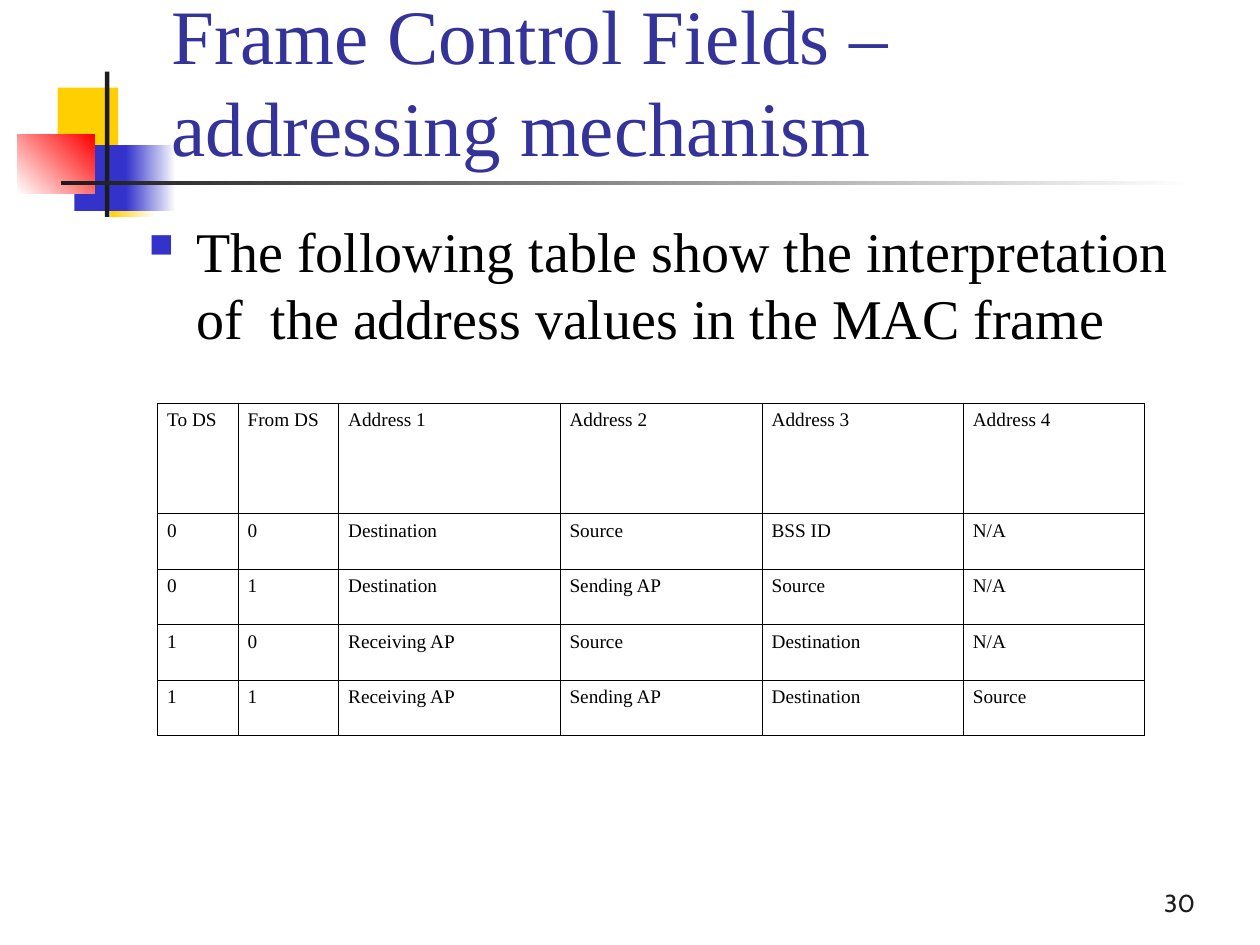
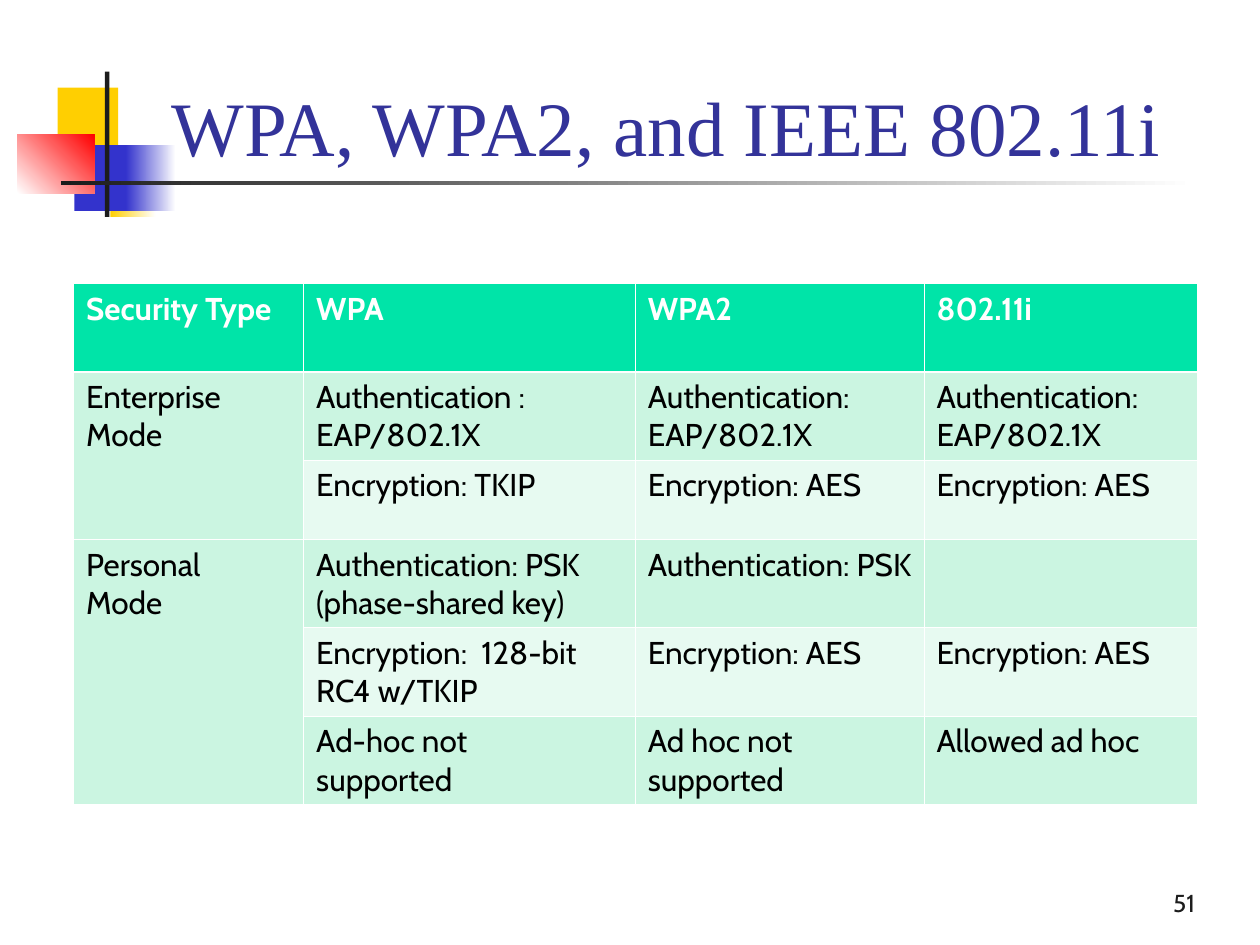
from pptx import Presentation
from pptx.dml.color import RGBColor
from pptx.enum import shapes, text
from pptx.oxml import ns, xmlchemy
from pptx.util import Pt

# Shared colours and fonts
WHITE = RGBColor(0xFF, 0xFF, 0xFF)
BLACK = RGBColor(0x00, 0x00, 0x00)
INK = RGBColor(0x1C, 0x1C, 0x1C)
YELLOW = RGBColor(0xFF, 0xCF, 0x01)
BLUE = RGBColor(0x33, 0x33, 0xCC)
RED = RGBColor(0xFF, 0x00, 0x00)
TITLE_BLUE = RGBColor(0x33, 0x33, 0x99)
HEADER_GREEN = RGBColor(0x00, 0xE4, 0xA8)
GREEN = RGBColor(0xCB, 0xF5, 0xE1)
PALE_GREEN = RGBColor(0xE7, 0xFA, 0xF1)
SERIF = "Times New Roman"
SANS = "Cabin"

# Corner ornament: left, top, width, height, colours, gradient angle
ORNAMENT = [
    (33, 50, 34.5, 37.5, [YELLOW], 0),
    (63, 86.5, 26, 37.5, [YELLOW, WHITE], 0),
    (42.5, 83, 33, 37.5, [BLUE], 0),
    (72, 83, 28.5, 37.5, [BLUE, WHITE], 0),
    (10, 77, 44, 33.5, [WHITE, RED], 45),
    (60, 41, 2.5, 83, [INK], 0),
    (35, 103.5, 648, 2.5, [INK, WHITE], 0),
]

ADDRESS_ROWS = [
    ["To DS", "From DS", "Address 1", "Address 2", "Address 3", "Address 4"],
    ["0", "0", "Destination", "Source", "BSS ID", "N/A"],
    ["0", "1", "Destination", "Sending AP", "Source", "N/A"],
    ["1", "0", "Receiving AP", "Source", "Destination", "N/A"],
    ["1", "1", "Receiving AP", "Sending AP", "Destination", "Source"],
]
SECURITY_ROWS = [
    ["Security Type", "WPA", "WPA2", "802.11i"],
    ["Enterprise\nMode", "Authentication :\nEAP/802.1X",
     "Authentication:\nEAP/802.1X", "Authentication:\nEAP/802.1X"],
    ["", "Encryption: TKIP", "Encryption: AES", "Encryption: AES"],
    ["Personal\nMode", "Authentication: PSK (phase-shared key)",
     "Authentication: PSK", ""],
    ["", "Encryption:  128-bit RC4 w/TKIP", "Encryption: AES", "Encryption: AES"],
    ["", "Ad-hoc not\nsupported", "Ad hoc not supported", "Allowed ad hoc"],
]


def set_font(para, name, size, color, bold=False):
    font = para.font
    font.name, font.size, font.bold = name, Pt(size), bold
    font.color.rgb = color


def add_block(page, left, top, width, height, colors, angle):
    block = page.shapes.add_shape(shapes.MSO_SHAPE.RECTANGLE,
                                  Pt(left), Pt(top), Pt(width), Pt(height))
    block.shadow.inherit = False
    block.line.fill.background()
    if len(colors) == 1:
        block.fill.solid()
        block.fill.fore_color.rgb = colors[0]
        return
    block.fill.gradient()
    block.fill.gradient_angle = angle
    for stop, color in zip(block.fill.gradient_stops, colors):
        stop.color.rgb = color


def add_text(page, words, left, top, width, height, name, size, color,
             anchor=text.MSO_ANCHOR.BOTTOM, align=text.PP_ALIGN.LEFT):
    box = page.shapes.add_textbox(Pt(left), Pt(top), Pt(width), Pt(height))
    frame = box.text_frame
    frame.word_wrap = True
    frame.vertical_anchor = anchor
    frame.text = words
    para = frame.paragraphs[0]
    para.alignment = align
    set_font(para, name, size, color)
    return para


def add_bullet(para, indent, color):
    para.space_before = Pt(8)
    props = para._p.get_or_add_pPr()
    props.set("marL", str(Pt(indent)))
    props.set("indent", str(-Pt(indent)))
    bullet_color = xmlchemy.OxmlElement("a:buClr")
    bullet_color.append(xmlchemy.OxmlElement("a:srgbClr"))
    bullet_color[0].set("val", str(color))
    bullet_size = xmlchemy.OxmlElement("a:buSzPct")
    bullet_size.set("val", "60000")
    bullet = xmlchemy.OxmlElement("a:buChar")
    bullet.set("char", "■")
    # Bullet marks precede the run defaults
    defaults = props.find(ns.qn("a:defRPr"))
    for mark in (bullet_color, bullet_size, bullet):
        defaults.addprevious(mark)


def set_borders(cell, color, top=0.45, bottom=0.45):
    props = cell._tc.get_or_add_tcPr()
    widths = {"lnL": 0.45, "lnR": 0.45, "lnT": top, "lnB": bottom}
    for place, (side, width) in enumerate(widths.items()):
        line = xmlchemy.OxmlElement(f"a:{side}")
        line.set("w", str(Pt(width)))
        fill = xmlchemy.OxmlElement("a:solidFill")
        fill.append(xmlchemy.OxmlElement("a:srgbClr"))
        fill[0].set("val", str(color))
        line.append(fill)
        props.insert(place, line)


def add_grid(page, rows, left, top, widths, heights, style_cell):
    """Add a table; style_cell(cell, row number) gives each cell its look."""
    table = page.shapes.add_table(len(rows), len(widths), Pt(left), Pt(top),
                                  Pt(sum(widths)), Pt(sum(heights))).table
    table.first_row = table.horz_banding = False
    for column, width in zip(table.columns, widths):
        column.width = Pt(width)
    for number, (row, height, words) in enumerate(zip(table.rows, heights, rows)):
        row.height = Pt(height)
        for cell, value in zip(row.cells, words):
            cell.text = value
            style_cell(cell, number)
    return table


def style_address(cell, number):
    cell.fill.background()
    cell.margin_left = cell.margin_right = Pt(5.5)
    set_borders(cell, BLACK)
    set_font(cell.text_frame.paragraphs[0], SERIF, 11, BLACK)


def style_security(cell, number):
    header = number == 0
    cell.fill.solid()
    cell.fill.fore_color.rgb = (HEADER_GREEN if header
                                else GREEN if number % 2 else PALE_GREEN)
    set_borders(cell, WHITE, top=1.47 if number == 1 else 0.45,
                bottom=1.47 if header else 0.45)
    for para in cell.text_frame.paragraphs:
        set_font(para, SANS, 18, WHITE if header else BLACK, bold=header)


def add_page(deck, title, number):
    page = deck.slides.add_slide(deck.slide_layouts[6])
    for block in ORNAMENT:
        add_block(page, *block)
    add_text(page, title, 91, 12, 613, 90, SERIF, 44, TITLE_BLUE)
    add_text(page, str(number), 540, 492, 150, 36, SANS, 14, INK,
             align=text.PP_ALIGN.RIGHT)
    return page


def main():
    deck = Presentation()
    deck.slide_width, deck.slide_height = Pt(720), Pt(540)

    # Addressing mechanism
    page = add_page(deck, "Frame Control Fields – addressing mechanism", 30)
    para = add_text(page, "The following table show the interpretation of  "
                    "the address values in the MAC frame",
                    78, 120, 612, 324, SERIF, 32, BLACK, text.MSO_ANCHOR.TOP)
    add_bullet(para, 27, BLUE)
    add_grid(page, ADDRESS_ROWS, 90, 230.5, [46, 57.5, 126.5, 115.5, 115, 103.5],
             [63] + [31.7] * 4, style_address)

    # Security types
    page = add_page(deck, "WPA, WPA2, and IEEE 802.11i", 51)
    table = add_grid(page, SECURITY_ROWS, 42, 162, [131.5, 189.5, 165, 156],
                     [50.4, 50.4, 45.4, 50.4, 50.4, 50.4], style_security)
    for first, last in ((1, 2), (3, 5)):
        table.cell(first, 0).merge(table.cell(last, 0))

    deck.save("out.pptx")


if __name__ == "__main__":
    main()
